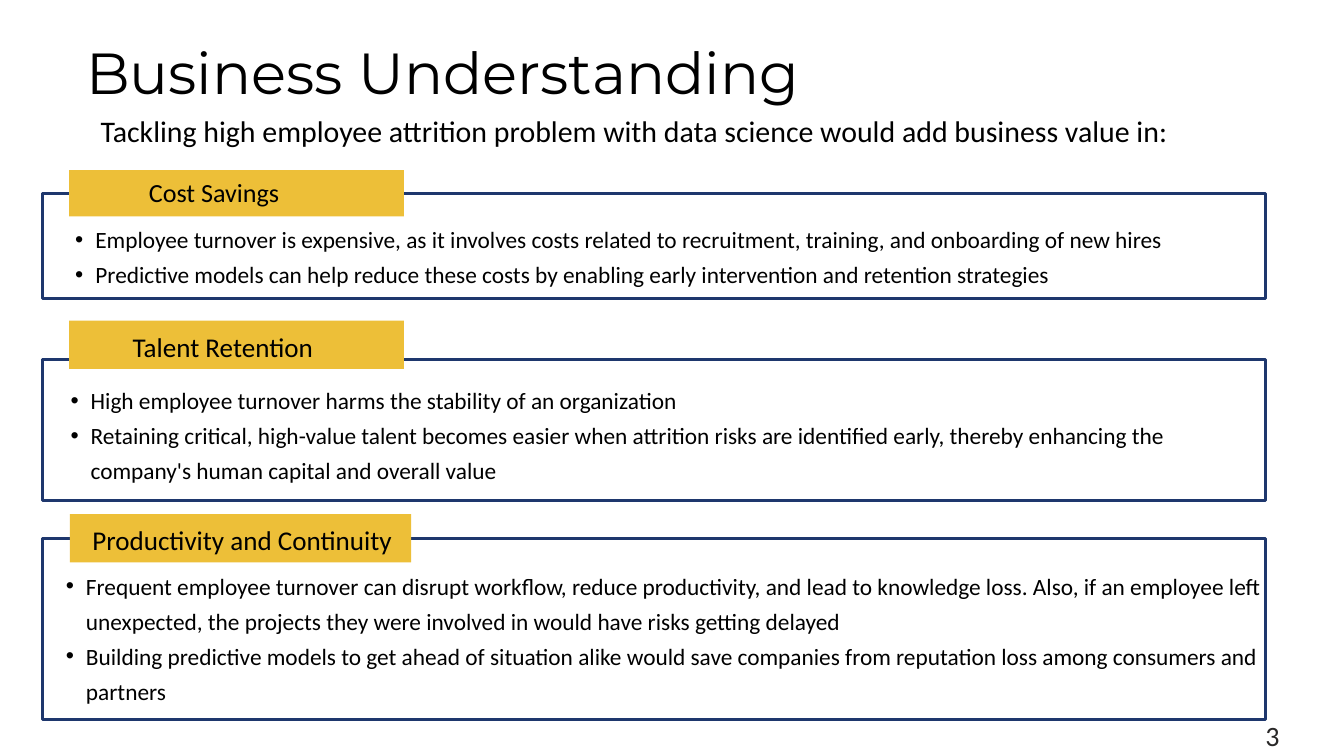
from lxml import etree
from pptx import Presentation
from pptx.dml.color import RGBColor
from pptx.enum.shapes import MSO_SHAPE
from pptx.enum.text import MSO_ANCHOR, PP_ALIGN
from pptx.oxml.ns import qn
from pptx.util import Inches, Pt

RECT = MSO_SHAPE.RECTANGLE
TOP, MIDDLE = MSO_ANCHOR.TOP, MSO_ANCHOR.MIDDLE
LEFT, CENTER = PP_ALIGN.LEFT, PP_ALIGN.CENTER
NAVY = RGBColor(0x1E, 0x37, 0x6D)
GOLD = RGBColor(0xED, 0xBF, 0x38)
BLACK = RGBColor(0, 0, 0)
GREY = RGBColor(0x29, 0x28, 0x28)

FRAME_LEFT, FRAME_WIDTH = 0.63, 18.2
INSET = 0.06
BULLET_LEFT, BULLET_HANG = 0.59, 0.3

# Positions are (left, top, width, height) in inches; frame is (top, height).
SECTIONS = [
    {
        "label": "Cost Savings", "size": 28,
        "frame": (2.88, 1.56), "body": (0.77, 1.82, 18.2, 3.89),
        "tag": (1.03, 2.53, 4.98, 0.69), "label_box": (1.5, 1.08, 3.37, 3.57),
        "points": [
            "Employee turnover is expensive, as it involves costs related to recruitment, "
            "training, and onboarding of new hires",
            "Predictive models can help reduce these costs by enabling early intervention "
            "and retention strategies",
        ],
    },
    {
        "label": "Talent Retention", "size": 29,
        "frame": (5.35, 2.1), "body": (0.7, 4.48, 18.2, 3.89),
        "tag": (1.03, 4.77, 4.98, 0.72), "label_box": (1.04, 3.35, 4.55, 3.61),
        "points": [
            "High employee turnover harms the stability of an organization",
            "Retaining critical, high-value talent becomes easier when attrition risks are "
            "identified early, thereby enhancing the company's human capital and overall value",
        ],
    },
    {
        "label": "Productivity and Continuity", "size": 29,
        "frame": (8.01, 2.7), "body": (0.63, 7.49, 18.2, 3.91),
        "tag": (1.04, 7.65, 5.08, 0.72), "label_box": (0.77, 6.21, 5.67, 3.63),
        "points": [
            "Frequent employee turnover can disrupt workflow, reduce productivity, and lead to "
            "knowledge loss. Also, if an employee left unexpected, the projects they were "
            "involved in would have risks getting delayed",
            "Building predictive models to get ahead of situation alike would save companies "
            "from reputation loss among consumers and partners",
        ],
    },
]

# text, box, line spacing in points, alignment, font
HEADINGS = [
    ("Tackling high employee attrition problem with data science would add business value in:",
     (0.73, 1.67, 17.43, 0.59), 38.4, CENTER,
     {"size": Pt(32), "name": "Calibri"}, BLACK),
    ("3", (18.83, 10.61, 1, 0.64), 42, LEFT,
     {"size": Pt(30), "name": "Calibri"}, GREY),
    ("Business Understanding", (1.28, 0.7, 14.22, 0.88), 63.2, LEFT,
     {"size": Pt(62), "name": "Montserrat"}, BLACK),
]


def add_rect(s, box, fill=None, line=None):
    sp = s.shapes.add_shape(RECT, *map(Inches, box))
    sp.shadow.inherit = False
    if fill is None:
        sp.fill.background()
    else:
        sp.fill.solid()
        sp.fill.fore_color.rgb = fill
    if line is None:
        sp.line.fill.background()
    else:
        sp.line.color.rgb = line
        sp.line.width = Pt(3)


def add_bullet(p):
    p.level = 1
    pPr = p._p.get_or_add_pPr()
    pPr.set("marL", str(Inches(BULLET_LEFT)))
    pPr.set("indent", str(-Inches(BULLET_HANG)))
    etree.SubElement(pPr, qn("a:buFont")).set("typeface", "Arial")
    etree.SubElement(pPr, qn("a:buChar")).set("char", "•")


def add_text(s, lines, box, spacing, align, font, color=BLACK,
             anchor=TOP, inset=0, bullets=False):
    tf = s.shapes.add_textbox(*map(Inches, box)).text_frame
    tf.word_wrap = True
    tf.vertical_anchor = anchor
    for side in ("left", "top", "right", "bottom"):
        setattr(tf, f"margin_{side}", Inches(inset))
    for i, line in enumerate(lines):
        p = tf.add_paragraph() if i else tf.paragraphs[0]
        if bullets:
            add_bullet(p)
        p.alignment = align
        p.line_spacing = Pt(spacing)
        r = p.add_run()
        r.text = line
        for name, value in font.items():
            setattr(r.font, name, value)
        r.font.color.rgb = color


def main():
    prs = Presentation()
    prs.slide_width, prs.slide_height = Inches(20), Inches(11.25)
    s = prs.slides.add_slide(prs.slide_layouts[6])

    for section in SECTIONS:
        top, height = section["frame"]
        size = section["size"]
        add_rect(s, (FRAME_LEFT, top, FRAME_WIDTH, height), line=NAVY)
        add_text(s, section["points"], section["body"], 37.5, LEFT,
                 {"size": Pt(25), "name": "Calibri"},
                 anchor=MIDDLE, inset=INSET, bullets=True)
        add_rect(s, section["tag"], fill=GOLD)
        add_text(s, [section["label"]], section["label_box"], size * 1.2, CENTER,
                 {"size": Pt(size), "name": "Calibri"}, anchor=MIDDLE, inset=INSET)

    for text, box, spacing, align, font, color in HEADINGS:
        add_text(s, [text], box, spacing, align, font, color)

    prs.save("out.pptx")


if __name__ == "__main__":
    main()
